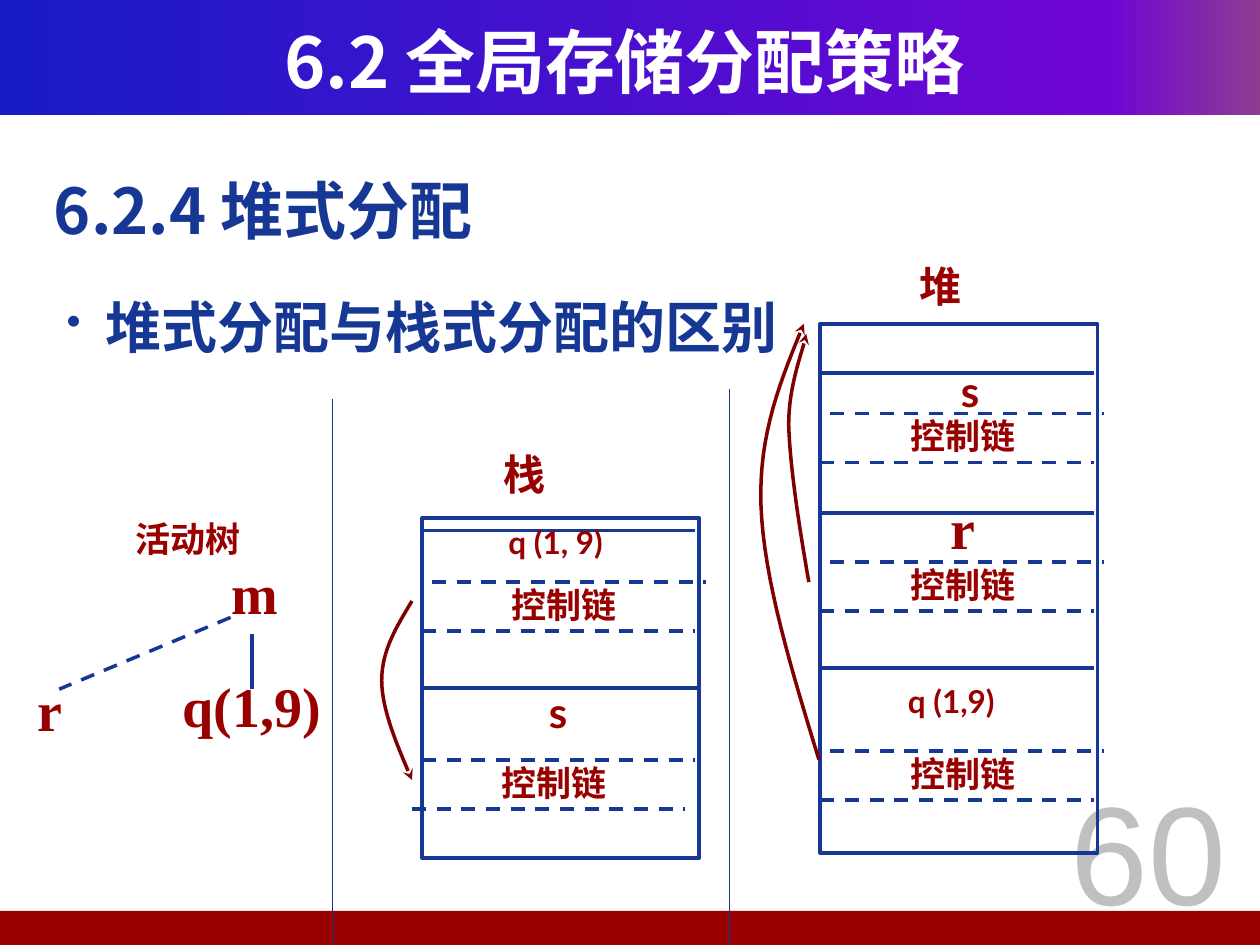
import pptx
import pptx.dml.color
import pptx.enum.dml
import pptx.enum.shapes
import pptx.enum.text
import pptx.oxml.ns
import pptx.util
from lxml import etree

Inches = pptx.util.Inches
ALIGN = pptx.enum.text.PP_ALIGN
SHAPE = pptx.enum.shapes.MSO_SHAPE

COLORS = {
    "blue": "163794", "red": "990000", "arrow": "800000",
    "white": "FFFFFF", "gray": "C0C0C0",
}
BANNER_STOPS = [(0, "181CC7"), (88, "7005D4"), (100, "8C3D91")]
CJK, LATO, TIMES = "Noto Sans CJK SC", "Lato", "Times New Roman"

LINE_LENGTH = 2.17   # rules inside the stack and the heap
CELL_WIDTH = 2.1
LINK_HEIGHT = 0.39   # distance between the dashes of a control link
LINK_SHIFT = 0.08


def add_xml(parent, tag, **attributes):
    child = etree.SubElement(parent, pptx.oxml.ns.qn(tag))
    for name, value in attributes.items():
        child.set(name, str(value))
    return child


def rgb(name):
    return pptx.dml.color.RGBColor.from_string(COLORS[name])


def bezier(p0, p1, p2, p3, steps=16):
    """Points along a cubic curve, without its start."""
    for step in range(1, steps + 1):
        t = step / steps
        u = 1 - t
        yield tuple(u**3 * a + 3 * u * u * t * b + 3 * u * t * t * c + t**3 * d
                    for a, b, c, d in zip(p0, p1, p2, p3))


class SlideWriter:
    def __init__(self, slide):
        self.slide = slide
        self.shapes = slide.shapes

    def text(self, box, words, size, font=LATO, color="red", bold=True,
             align=ALIGN.LEFT, top_inset=0.05, middle=False, bullet=None,
             spacing=None):
        label = self.shapes.add_textbox(*map(Inches, box))
        anchors = pptx.enum.text.MSO_ANCHOR
        frame_format = {
            "word_wrap": True,
            "margin_top": Inches(top_inset),
            "vertical_anchor": anchors.MIDDLE if middle else anchors.TOP,
        }
        for name, value in frame_format.items():
            setattr(label.text_frame, name, value)
        paragraph = label.text_frame.paragraphs[0]
        paragraph.alignment = align
        paragraph.line_spacing = spacing
        if bullet:
            properties = paragraph._p.get_or_add_pPr()
            properties.set("marL", str(Inches(0.31)))
            properties.set("indent", str(-Inches(0.31)))
            add_xml(properties, "a:buSzPct", val=75000)
            add_xml(properties, "a:buChar", char=bullet)
        run = paragraph.add_run()
        run.text = words
        run_format = {"name": font, "size": pptx.util.Pt(size), "bold": bold}
        for name, value in run_format.items():
            setattr(run.font, name, value)
        run.font.color.rgb = rgb(color)
        add_xml(run._r.get_or_add_rPr(), "a:ea", typeface=CJK)

    def cell(self, left, top, words, size, font=LATO, height=0.47):
        self.text((left, top, CELL_WIDTH, height), words, size, font,
                  align=ALIGN.CENTER, top_inset=0.09)

    def rectangle(self, box, fill=None, outline=None):
        rectangle = self.shapes.add_shape(SHAPE.RECTANGLE, *map(Inches, box))
        rectangle.shadow.inherit = False
        if fill:
            rectangle.fill.solid()
            rectangle.fill.fore_color.rgb = rgb(fill)
        else:
            rectangle.fill.background()
        if outline:
            rectangle.line.color.rgb = rgb(outline)
            rectangle.line.width = pptx.util.Pt(2)
        else:
            rectangle.line.fill.background()
        return rectangle

    def banner(self, box, stops):
        banner = self.rectangle(box)
        banner.fill.gradient()
        banner.fill.gradient_angle = 0
        stop_list = banner._element.spPr.find(
            ".//" + pptx.oxml.ns.qn("a:gsLst"))
        for stop in list(stop_list):
            stop_list.remove(stop)
        for percent, color in stops:
            stop = add_xml(stop_list, "a:gs", pos=percent * 1000)
            add_xml(stop, "a:srgbClr", val=color)

    def line(self, start, end, width=2, dashed=False):
        line = self.shapes.add_connector(
            pptx.enum.shapes.MSO_CONNECTOR.STRAIGHT,
            *map(Inches, (*start, *end)))
        line.line.color.rgb = rgb("blue")
        line.line.width = pptx.util.Pt(width)
        if dashed:
            line.line.dash_style = pptx.enum.dml.MSO_LINE.DASH
        add_xml(line._element.spPr, "a:effectLst")
        return line

    def rule(self, left, top, dashed=False):
        return self.line((left, top), (left + LINE_LENGTH, top), dashed=dashed)

    def control_link(self, left, top):
        self.cell(left, top - LINK_SHIFT, "控制链", 20, TIMES)
        self.rule(left, top, dashed=True)
        self.rule(left - LINK_SHIFT, top + LINK_HEIGHT, dashed=True)

    def curved_arrow(self, points):
        """Draw cubic pieces: a start, then three points for each piece."""
        outline = self.shapes.build_freeform(*map(Inches, points[0]))
        for first in range(0, len(points) - 1, 3):
            outline.add_line_segments(
                [tuple(map(Inches, point))
                 for point in bezier(*points[first:first + 4])], close=False)
        arrow = outline.convert_to_shape()
        arrow.shadow.inherit = False
        arrow.fill.background()
        arrow.line.color.rgb = rgb("arrow")
        arrow.line.width = pptx.util.Pt(2)
        add_xml(arrow.line._get_or_add_ln(), "a:tailEnd", type="stealth")


def main():
    deck = pptx.Presentation()
    deck.slide_width, deck.slide_height = Inches(10), Inches(7.5)
    writer = SlideWriter(deck.slides.add_slide(deck.slide_layouts[6]))

    # Banner, footer and headings
    writer.banner((0, 0, 10, 0.91), BANNER_STOPS)
    writer.rectangle((-0.04, 7.23, 10.04, 0.27), fill="red")
    writer.text((0.33, 0.17, 9.25, 0.62), "6.2 全局存储分配策略", 40, CJK,
                "white", align=ALIGN.CENTER, middle=True)
    writer.text((0.33, 1.31, 9.33, 0.91), "6.2.4 堆式分配", 36, CJK, "blue")
    writer.text((8.23, 6.03, 1.77, 1.42), "60", 80, "Arial", "gray",
                bold=False, align=ALIGN.CENTER)
    writer.text((0.43, 2.33, 6.54, 0.79), "堆式分配与栈式分配的区别", 32, CJK,
                "blue", bullet="•", spacing=0.9)

    # Activation tree
    writer.text((0.98, 4.06, 1.1, 0.43), "活动树", 20)
    for name, left, top, width in [("m", 1.74, 4.38, 0.72),
                                   ("q(1,9)", 1.35, 5.28, 1.41),
                                   ("r", 0.2, 5.31, 0.72)]:
        writer.text((left, top, width, 0.67), name, 32, TIMES)
    writer.line((2, 5.03), (2, 5.47))
    writer.line((1.83, 4.9), (0.47, 5.47), dashed=True)

    # Column dividers
    for left, top in [(2.64, 3.17), (5.79, 3.09)]:
        writer.line((left, top), (left, 7.5), width=0.75)

    # Stack
    writer.text((3.9, 3.51, 0.95, 0.5), "栈", 24)
    stack = writer.rectangle((3.35, 4.11, 2.2, 2.7), outline="blue")
    writer.rule(3.35, 4.21)
    middle_rule = writer.rule(3.35, 5.46)
    middle_rule.begin_connect(stack, 1)
    middle_rule.end_connect(stack, 3)
    writer.cell(3.36, 4.06, "q (1, 9)", 18, height=0.77)
    writer.cell(3.38, 5.36, "s", 24, height=0.77)
    for left, top in [(3.43, 4.62), (3.35, 6.03)]:
        writer.control_link(left, top)
    writer.curved_arrow([(3.27, 4.77), (3.15, 4.97), (3.03, 5.16), (3.03, 5.4),
                         (3.03, 5.63), (3.15, 5.91), (3.27, 6.19)])

    # Heap
    writer.text((7.2, 2.02, 0.95, 0.5), "堆", 24)
    writer.rectangle((6.51, 2.57, 2.2, 4.2), outline="blue")
    for top in (2.96, 4.07, 5.3):
        writer.rule(6.51, top)
    writer.cell(6.65, 2.81, "s", 24, height=0.39)
    writer.cell(6.59, 3.83, "r", 32, TIMES, height=0.77)
    writer.cell(6.5, 5.32, "q (1,9)", 18)
    for top in (3.28, 4.46, 5.96):
        writer.control_link(6.59, top)
    writer.curved_arrow([(6.42, 4.62), (6.34, 4.16), (6.27, 3.7), (6.26, 3.37),
                         (6.26, 3.04), (6.38, 2.77), (6.4, 2.65)])
    writer.curved_arrow([(6.5, 6.03), (6.28, 5.31), (6.06, 4.59), (6.04, 4.01),
                         (6.02, 3.44), (6.2, 3.01), (6.38, 2.57)])

    deck.save("out.pptx")


if __name__ == "__main__":
    main()
